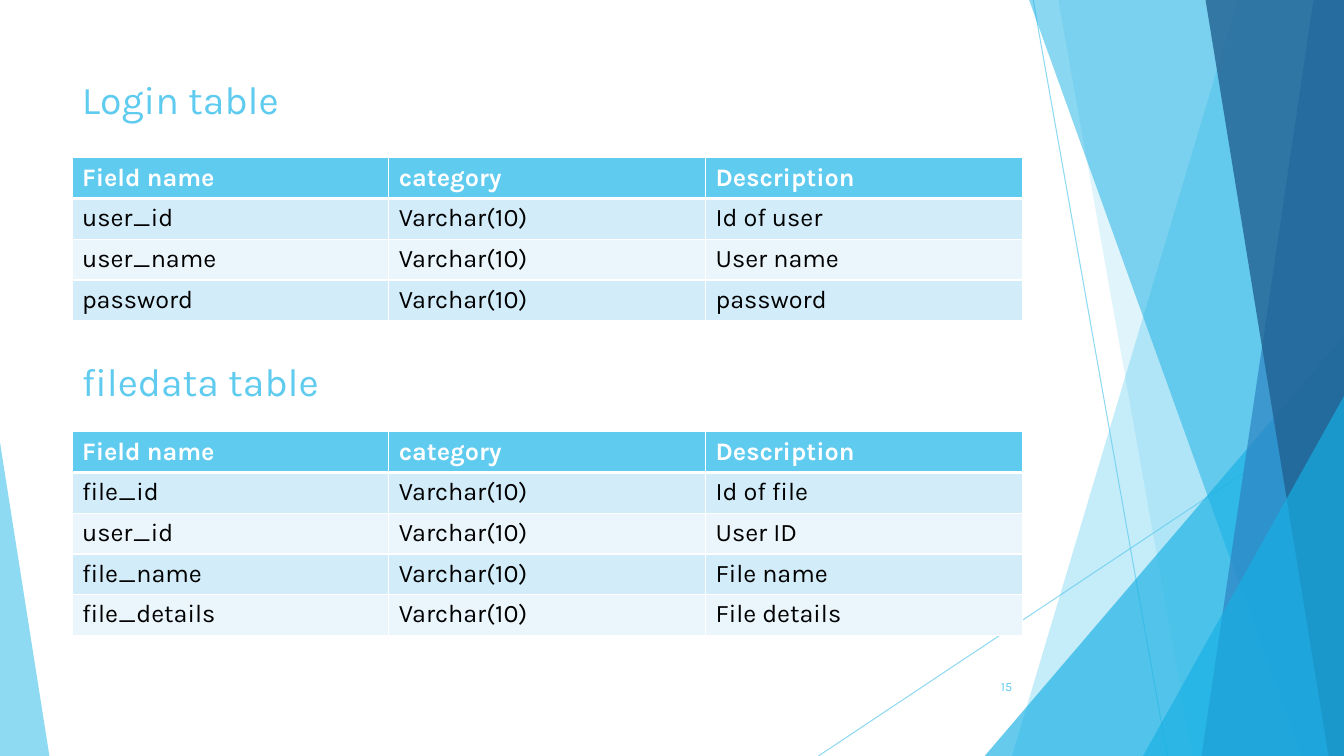
from dataclasses import dataclass

from lxml import etree
from pptx import Presentation
from pptx.dml.color import RGBColor
from pptx.enum import shapes, text
from pptx.oxml import ns
from pptx.util import Pt

WIDE, HIGH = 960, 540
LEFT = 51.4
COL, ROW = 226.3, 29.1
FONT = "Karla"
INK = {"sky": "5FCBEF", "cyan": "17B0E4", "blue": "2E83C3", "navy": "226292",
       "white": "FFFFFF", "black": "000000", "odd": "D2ECF9", "even": "EAF6FC"}


@dataclass
class Ray:
    """Thin line across the backdrop."""
    x1: float
    y1: float
    x2: float
    y2: float


@dataclass
class Facet:
    """Full-height panel reaching the right edge of the slide."""
    top: float
    foot: float
    ink: str
    alpha: int


@dataclass
class Wedge:
    """Right triangle standing on the bottom edge; tip is 0 left, 1 right."""
    left: float
    top: float
    width: float
    tip: int
    ink: str
    alpha: int


@dataclass
class Grid:
    """Heading and the field table below it."""
    name: str
    head: float
    top: float
    rows: list[tuple[str, str]]


RAYS = [Ray(738, 0, 833.8, HIGH), Ray(WIDE, 290.2, 584.6, HIGH)]
DECOR = [
    Facet(884.2, 722.9, "sky", 36),
    Facet(756, 851.8, "sky", 20),
    Wedge(703.4, 239.8, 256.6, 1, "cyan", 66),
    Facet(735.1, 929.5, "cyan", 50),
    Facet(938.2, 858.2, "blue", 70),
    Facet(861.1, 949, "navy", 80),
    Wedge(816.5, 283, 143.5, 1, "cyan", 66),
    Wedge(0, 316.1, 35.3, 0, "sky", 70),
]
GRIDS = [
    Grid("Login table", 50.4, 112.7,
         [("user_id", "Id of user"), ("user_name", "User name"),
          ("password", "password")]),
    Grid("filedata table", 252, 308.5,
         [("file_id", "Id of file"), ("user_id", "User ID"),
          ("file_name", "File name"), ("file_details", "File details")]),
]


def tone(name: str) -> RGBColor:
    """Look up a colour."""
    return RGBColor.from_string(INK[name])


def fade(shape, alpha: int) -> None:
    """Set the opacity, in percent, of every colour on a shape."""
    for clr in shape.element.iter(ns.qn("a:srgbClr")):
        etree.SubElement(clr, ns.qn("a:alpha"), val=str(alpha * 1000))


def draw_ray(slide, ray: Ray) -> None:
    """Draw one thin line."""
    ends = map(Pt, (ray.x1, ray.y1, ray.x2, ray.y2))
    line = slide.shapes.add_connector(shapes.MSO_CONNECTOR.STRAIGHT, *ends)
    line.line.color.rgb = tone("sky")
    line.line.width = Pt(0.75)
    etree.SubElement(line.element.spPr, ns.qn("a:effectLst"))
    fade(line, 70)


def draw_decor(slide, item: Facet | Wedge) -> None:
    """Draw one translucent panel or triangle."""
    if isinstance(item, Facet):
        pen = slide.shapes.build_freeform(Pt(item.top), 0)
        ring = [(WIDE, 0), (WIDE, HIGH), (item.foot, HIGH)]
        pen.add_line_segments([(Pt(x), Pt(y)) for x, y in ring])
        shape = pen.convert_to_shape()
    else:
        shape = slide.shapes.add_shape(
            shapes.MSO_SHAPE.ISOSCELES_TRIANGLE, Pt(item.left), Pt(item.top),
            Pt(item.width), Pt(HIGH - item.top))
        shape.adjustments[0] = item.tip
    shape.shadow.inherit = False
    shape.line.fill.background()
    shape.fill.solid()
    shape.fill.fore_color.rgb = tone(item.ink)
    fade(shape, item.alpha)


def put_text(frame, words: str, size: float, ink: str, bold=False) -> None:
    """Fill a text frame with one styled line."""
    frame.text = words
    font = frame.paragraphs[0].runs[0].font
    font.name, font.size, font.bold = FONT, Pt(size), bold
    font.color.rgb = tone(ink)


def add_label(slide, words: str, left: float, top: float, width: float,
              high: float, size: float):
    """Add a sky-blue text box and return its frame."""
    box = slide.shapes.add_textbox(Pt(left), Pt(top), Pt(width), Pt(high))
    box.text_frame.word_wrap = True
    put_text(box.text_frame, words, size, "sky")
    return box.text_frame


def edge_cell(cell, top: float, foot: float) -> None:
    """Give a cell white borders with the given top and bottom widths."""
    props = cell._tc.get_or_add_tcPr()
    sides = {"lnL": 1, "lnR": 1, "lnT": top, "lnB": foot}
    for spot, (tag, width) in enumerate(sides.items()):
        line = etree.Element(ns.qn(f"a:{tag}"), w=str(Pt(width)))
        fill = etree.SubElement(line, ns.qn("a:solidFill"))
        etree.SubElement(fill, ns.qn("a:srgbClr"), val=INK["white"])
        props.insert(spot, line)


def draw_grid(slide, grid: Grid) -> None:
    """Draw a heading and its table."""
    add_label(slide, grid.name, LEFT, grid.head, 652.3, 43.9, 28)
    rows = [("Field name", "category", "Description")]
    rows += [(name, "Varchar(10)", note) for name, note in grid.rows]
    table = slide.shapes.add_table(
        len(rows), 3, Pt(LEFT), Pt(grid.top), Pt(3 * COL),
        Pt(len(rows) * ROW)).table
    for col in table.columns:
        col.width = Pt(COL)
    for r, row in enumerate(rows):
        table.rows[r].height = Pt(ROW)
        band = "sky" if r == 0 else "odd" if r % 2 else "even"
        for c, words in enumerate(row):
            cell = table.cell(r, c)
            put_text(cell.text_frame, words, 18,
                     "black" if r else "white", r == 0)
            cell.fill.solid()
            cell.fill.fore_color.rgb = tone(band)
            edge_cell(cell, 3 if r == 1 else 1, 1 if r else 3)


def main() -> None:
    """Build and save the slide."""
    deck = Presentation()
    deck.slide_width, deck.slide_height = Pt(WIDE), Pt(HIGH)
    slide = deck.slides.add_slide(deck.slide_layouts[6])
    for ray in RAYS:
        draw_ray(slide, ray)
    for item in DECOR:
        draw_decor(slide, item)
    for grid in GRIDS:
        draw_grid(slide, grid)
    page = add_label(slide, "15", 676.1, 475.9, 54, 28.8, 9)
    page.vertical_anchor = text.MSO_ANCHOR.MIDDLE
    page.paragraphs[0].alignment = text.PP_ALIGN.RIGHT
    deck.save("out.pptx")


main()
